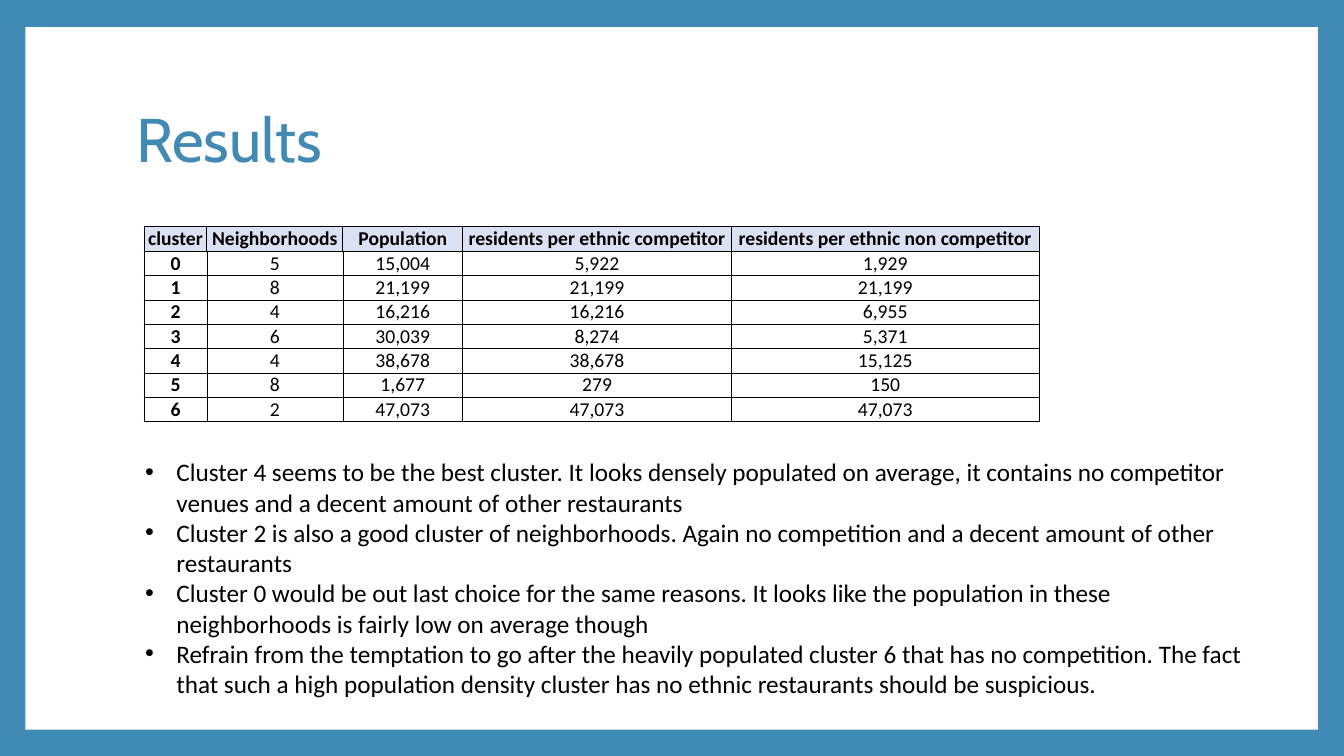
from dataclasses import dataclass

from lxml.etree import SubElement
from pptx import Presentation
from pptx.dml.color import RGBColor
from pptx.enum.shapes import MSO_SHAPE
from pptx.enum.text import MSO_ANCHOR, MSO_AUTO_SIZE, PP_ALIGN
from pptx.oxml.ns import qn
from pptx.util import Inches, Pt


@dataclass(frozen=True)
class Theme:
    """Colours, fonts, type sizes and line widths of the slide."""
    accent: str = "418AB3"
    panel: str = "FFFFFF"
    ink: str = "000000"
    header: str = "D9E1F2"
    title_font: str = "Cabin"
    body_font: str = "Calibri"
    title_size: int = 44
    body_size: int = 18
    table_size: int = 14
    thick: float = 1
    thin: float = 0.5


THEME = Theme()
WIDTH, HEIGHT = Inches(13.33), Inches(7.5)

# Left, top, width and height in percent of the slide
PANEL = (1.88, 3.6, 96.17, 92.93)
TITLE = (9.38, 8.93, 54.91, 19.73)
TABLE = (10.73, 30, 66.6, 25.8)
BODY = (10.05, 59.73, 85.3, 33.6)

COLUMN_SHARES = (0.07, 0.152, 0.134, 0.3, 0.344)
CLUSTER_ROWS = [
    ("cluster", "Neighborhoods", "Population",
     "residents per ethnic competitor", "residents per ethnic non competitor"),
    ("0", "5", "15,004", "5,922", "1,929"),
    ("1", "8", "21,199", "21,199", "21,199"),
    ("2", "4", "16,216", "16,216", "6,955"),
    ("3", "6", "30,039", "8,274", "5,371"),
    ("4", "4", "38,678", "38,678", "15,125"),
    ("5", "8", "1,677", "279", "150"),
    ("6", "2", "47,073", "47,073", "47,073"),
]
FINDINGS = [
    "Cluster 4 seems to be the best cluster. It looks densely populated on "
    "average, it contains no competitor venues and a decent amount of other restaurants",
    "Cluster 2 is also a good cluster of neighborhoods. Again no competition "
    "and a decent amount of other restaurants",
    "Cluster 0 would be out last choice for the same reasons. It looks like "
    "the population in these neighborhoods is fairly low on average though",
    "Refrain from the temptation to go after the heavily populated cluster 6 "
    "that has no competition. The fact that such a high population density "
    "cluster has no ethnic restaurants should be suspicious.",
]


def area(left, top, width, height):
    """Turn percentages of the slide into lengths."""
    return (int(WIDTH * left / 100), int(HEIGHT * top / 100),
            int(WIDTH * width / 100), int(HEIGHT * height / 100))


def place(box, percentages):
    """Move and size a placeholder."""
    box.left, box.top, box.width, box.height = area(*percentages)


def write(para, text, *, size, font=THEME.body_font, color=THEME.ink,
          bold=False, align=PP_ALIGN.LEFT, spacing=1.0):
    """Write one formatted paragraph."""
    para.alignment = align
    para.line_spacing = spacing
    para.space_before = para.space_after = Pt(0)
    span = para.add_run()
    span.text = text
    span.font.name = font
    span.font.size = Pt(size)
    span.font.bold = bold
    span.font.color.rgb = RGBColor.from_string(color)


def add_panel(slide):
    """Add the white panel behind everything else."""
    panel = slide.shapes.add_shape(MSO_SHAPE.RECTANGLE, *area(*PANEL))
    panel.shadow.inherit = False
    panel.fill.solid()
    panel.fill.fore_color.rgb = RGBColor.from_string(THEME.panel)
    panel.line.fill.background()
    slide.shapes.element.insert(2, panel.element)


def fill_title(title, text):
    """Place and write the title."""
    place(title, TITLE)
    frame = title.text_frame
    frame.vertical_anchor = MSO_ANCHOR.MIDDLE
    frame.auto_size = MSO_AUTO_SIZE.NONE
    write(frame.paragraphs[0], text, size=THEME.title_size,
          font=THEME.title_font, color=THEME.accent, spacing=0.9)


def fill_bullets(body, items):
    """Place the body and write its bulleted list."""
    place(body, BODY)
    frame = body.text_frame
    frame.vertical_anchor = MSO_ANCHOR.TOP
    frame.auto_size = MSO_AUTO_SIZE.NONE
    for index, item in enumerate(items):
        para = frame.add_paragraph() if index else frame.paragraphs[0]
        write(para, item, size=THEME.body_size)
        properties = para._p.get_or_add_pPr()
        properties.set("marL", str(Inches(0.31)))
        properties.set("indent", str(-Inches(0.31)))
        SubElement(properties, qn("a:buFont")).set("typeface", "Arial")
        SubElement(properties, qn("a:buChar")).set("char", "•")


def draw_borders(cell, thick_sides):
    """Line all four sides of a cell, the named ones thicker."""
    properties = cell._tc.get_or_add_tcPr()
    for side in "LRTB":
        width = THEME.thick if side in thick_sides else THEME.thin
        line = SubElement(properties, qn(f"a:ln{side}"), w=str(Pt(width)))
        solid = SubElement(line, qn("a:solidFill"))
        SubElement(solid, qn("a:srgbClr"), val=THEME.ink)


def outer_sides(row, column, row_count, column_count):
    """Name the sides of a cell on the table's rim or its header."""
    if row == 0:
        return "LRTB"
    rim = {"L": column == 0, "R": column == column_count - 1,
           "T": row == 1, "B": row == row_count - 1}
    return [side for side, on_rim in rim.items() if on_rim]


def add_cluster_table(slide, rows):
    """Add the table with bold header row and bold first column."""
    left, top, width, height = area(*TABLE)
    size = len(rows), len(rows[0])
    table = slide.shapes.add_table(*size, left, top, width, height).table
    table.first_row = table.horz_banding = False
    for column, share in zip(table.columns, COLUMN_SHARES):
        column.width = int(width * share)
    for r, values in enumerate(rows):
        table.rows[r].height = height // len(rows)
        for c, value in enumerate(values):
            cell = table.cell(r, c)
            cell.margin_left = cell.margin_right = 0
            cell.margin_top = cell.margin_bottom = 0
            cell.vertical_anchor = MSO_ANCHOR.MIDDLE
            write(cell.text_frame.paragraphs[0], value, size=THEME.table_size,
                  bold=r == 0 or c == 0, align=PP_ALIGN.CENTER)
            draw_borders(cell, outer_sides(r, c, *size))
            if r == 0:
                cell.fill.solid()
                cell.fill.fore_color.rgb = RGBColor.from_string(THEME.header)
            else:
                cell.fill.background()


def main():
    """Build the results slide."""
    deck = Presentation()
    deck.slide_width, deck.slide_height = WIDTH, HEIGHT
    page = deck.slides.add_slide(deck.slide_layouts[1])
    page.background.fill.solid()
    page.background.fill.fore_color.rgb = RGBColor.from_string(THEME.accent)
    add_panel(page)
    fill_title(page.shapes.title, "Results")
    add_cluster_table(page, CLUSTER_ROWS)
    fill_bullets(page.placeholders[1], FINDINGS)
    deck.save("out.pptx")


main()
